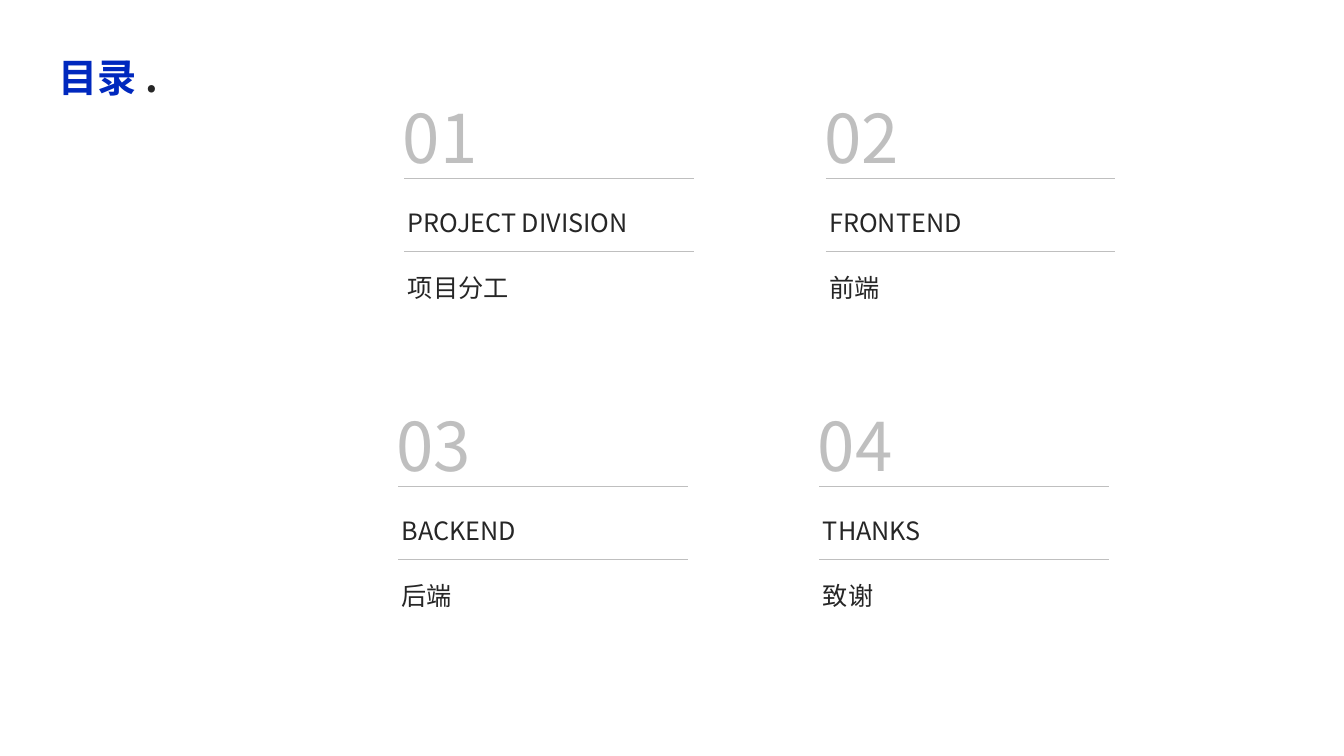
from dataclasses import dataclass

from lxml import etree
from pptx import Presentation
from pptx.dml.color import RGBColor
from pptx.enum import shapes, text
from pptx.oxml.ns import qn
from pptx.util import Cm, Pt


@dataclass(frozen=True)
class Theme:
    font: str = "Noto Sans CJK SC"
    paper: RGBColor = RGBColor(0xFF, 0xFF, 0xFF)
    accent: RGBColor = RGBColor(0x00, 0x28, 0xBE)
    ink: RGBColor = RGBColor(0x26, 0x26, 0x26)
    muted: RGBColor = RGBColor(0xBF, 0xBF, 0xBF)
    title_size: int = 28
    number_size: int = 48
    label_size: int = 18
    rule_width: float = 0.5


THEME = Theme()

ENTRIES = [
    ("01", "PROJECT DIVISION", "项目分工"),
    ("02", "FRONTEND", "前端"),
    ("03", "BACKEND", "后端"),
    ("04", "THANKS", "致谢"),
]
COLUMNS = 2
GRID_LEFT, GRID_TOP = 10.19, 4.5
COLUMN_STEP, ROW_STEP = 10.62, 7.76
ROW_SHIFT = -0.16
RULE_LENGTH, RULE_GAP = 7.3, 1.83


def add_span(para, words, *, size, color, bold=False):
    span = para.add_run()
    span.text = words
    span.font.size = Pt(size)
    span.font.bold = bold
    span.font.color.rgb = color
    span.font.name = THEME.font
    east_asian = etree.SubElement(span._r.get_or_add_rPr(), qn("a:ea"))
    east_asian.set("typeface", THEME.font)


def format_para(para, *, line, before=0, align=text.PP_ALIGN.LEFT):
    para.alignment = align
    para.line_spacing = Pt(line)
    para.space_before = Pt(before)


def format_frame(frame):
    frame.word_wrap = True
    frame.auto_size = text.MSO_AUTO_SIZE.NONE
    frame.vertical_anchor = text.MSO_ANCHOR.TOP


def add_box(parent, left, top, width, height):
    box = parent.add_textbox(Cm(left), Cm(top), Cm(width), Cm(height))
    format_frame(box.text_frame)
    return box.text_frame


def add_rule(parent, left, top):
    rule = parent.add_connector(
        shapes.MSO_CONNECTOR.STRAIGHT,
        Cm(left), Cm(top), Cm(left + RULE_LENGTH), Cm(top),
    )
    rule.line.color.rgb = THEME.muted
    rule.line.width = Pt(THEME.rule_width)
    etree.SubElement(rule._element.spPr, qn("a:effectLst"))


def set_title(slide):
    title = slide.shapes.title
    title.left, title.top = Cm(1.22), Cm(1.14)
    title.width, title.height = Cm(4.45), Cm(1.52)
    format_frame(title.text_frame)
    para = title.text_frame.paragraphs[0]
    format_para(para, line=36)
    add_span(para, "目录", size=THEME.title_size, color=THEME.accent, bold=True)
    add_span(para, " .", size=THEME.title_size, color=THEME.ink, bold=True)


def add_entry(slide, left, top, number, heading, caption):
    """Add one contents entry; left and top are where its upper rule starts."""
    group = slide.shapes.add_group_shape().shapes

    labels = add_box(group, left - 0.16, top + 0.38, 8.43, 2.82)
    heading_para, caption_para = labels.paragraphs[0], labels.add_paragraph()
    format_para(heading_para, line=28)
    format_para(caption_para, line=28, before=18)
    add_span(heading_para, heading, size=THEME.label_size, color=THEME.ink)
    add_span(caption_para, caption, size=THEME.label_size, color=THEME.ink)

    number_para = add_box(group, left - 0.66, top - 2.32, 3.12, 2.39).paragraphs[0]
    format_para(number_para, line=61, align=text.PP_ALIGN.CENTER)
    add_span(number_para, number, size=THEME.number_size, color=THEME.muted)

    for offset in (0, RULE_GAP):
        add_rule(group, left, top + offset)


def main():
    deck = Presentation()
    deck.slide_width, deck.slide_height = Cm(33.87), Cm(19.05)
    slide = deck.slides.add_slide(deck.slide_layouts.get_by_name("Title Only"))
    slide.background.fill.solid()
    slide.background.fill.fore_color.rgb = THEME.paper

    set_title(slide)
    for index, entry in enumerate(ENTRIES):
        row, column = divmod(index, COLUMNS)
        left = GRID_LEFT + column * COLUMN_STEP + row * ROW_SHIFT
        add_entry(slide, left, GRID_TOP + row * ROW_STEP, *entry)

    deck.save("out.pptx")


if __name__ == "__main__":
    main()
